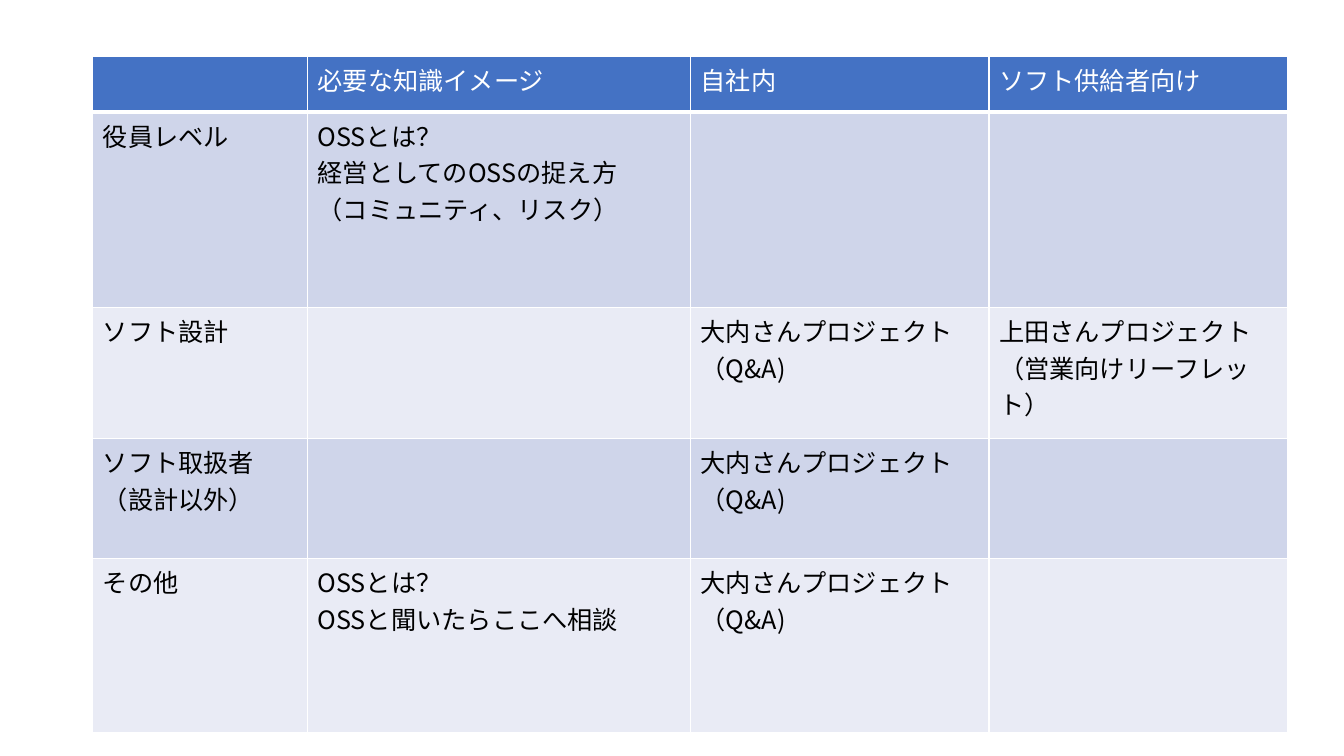
import lxml.etree
import pptx
import pptx.dml.color
import pptx.oxml.ns
import pptx.util

COLUMN_WIDTHS = [2.13, 3.8, 2.96, 2.96]
ROW_HEIGHTS = [0.55, 1.94, 1.3, 1.19, 1.73]
IN_HOUSE_PROJECT = "大内さんプロジェクト（Q&A)"
TRAINING_ROWS = [
    ["", "必要な知識イメージ", "自社内", "ソフト供給者向け"],
    ["役員レベル", "OSSとは？\n経営としてのOSSの捉え方\n（コミュニティ、リスク）", "", ""],
    ["ソフト設計", "", IN_HOUSE_PROJECT, "上田さんプロジェクト（営業向けリーフレット）"],
    ["ソフト取扱者\n（設計以外）", "", IN_HOUSE_PROJECT, ""],
    ["その他", "OSSとは？\nOSSと聞いたらここへ相談", IN_HOUSE_PROJECT, ""],
]


def color(value):
    return pptx.dml.color.RGBColor.from_string(value)


def add_child(parent, tag, **attributes):
    return lxml.etree.SubElement(parent, pptx.oxml.ns.qn(tag), **attributes)


class TablePage:
    font_name = "Noto Sans CJK JP"
    font_size = 18
    white = "FFFFFF"
    black = "000000"
    header_fill = "4472C4"
    band_fills = ["CFD5EA", "E9EBF5"]

    def __init__(self, deck):
        self.page = deck.slides.add_slide(deck.slide_layouts[6])

    def add_table(self, left, top, widths, heights, rows):
        inches = pptx.util.Inches
        table = self.page.shapes.add_table(
            len(rows), len(widths), inches(left), inches(top),
            inches(sum(widths)), inches(sum(heights))).table
        for column, width in zip(table.columns, widths):
            column.width = inches(width)
        for row, height in zip(table.rows, heights):
            row.height = inches(height)
        for row_index, texts in enumerate(rows):
            for column_index, text in enumerate(texts):
                self.fill_cell(table.cell(row_index, column_index), text, row_index)

    def fill_cell(self, cell, text, row_index):
        is_header = row_index == 0
        self.set_borders(cell, bottom=3 if is_header else 1)
        cell.fill.solid()
        cell.fill.fore_color.rgb = color(
            self.header_fill if is_header else self.band_fills[(row_index - 1) % 2])
        cell.text = text
        for paragraph in cell.text_frame.paragraphs:
            self.set_font(paragraph, self.white if is_header else self.black)

    def set_borders(self, cell, bottom):
        properties = cell._tc.get_or_add_tcPr()
        for side, points in [("L", 1), ("R", 1), ("T", 1), ("B", bottom)]:
            line = add_child(properties, f"a:ln{side}", w=str(pptx.util.Pt(points)))
            add_child(add_child(line, "a:solidFill"), "a:srgbClr", val=self.white)

    def set_font(self, paragraph, text_color):
        """Set the paragraph font for Latin and East Asian text."""
        font = paragraph.font
        font.name = self.font_name
        font.size = pptx.util.Pt(self.font_size)
        font.bold = False
        font.color.rgb = color(text_color)
        defaults = paragraph._p.pPr.find(pptx.oxml.ns.qn("a:defRPr"))
        add_child(defaults, "a:ea", typeface=self.font_name)


def main():
    deck = pptx.Presentation()
    deck.slide_width = pptx.util.Inches(13.33)
    deck.slide_height = pptx.util.Inches(7.5)
    TablePage(deck).add_table(0.92, 0.56, COLUMN_WIDTHS, ROW_HEIGHTS, TRAINING_ROWS)
    deck.save("out.pptx")


if __name__ == "__main__":
    main()
